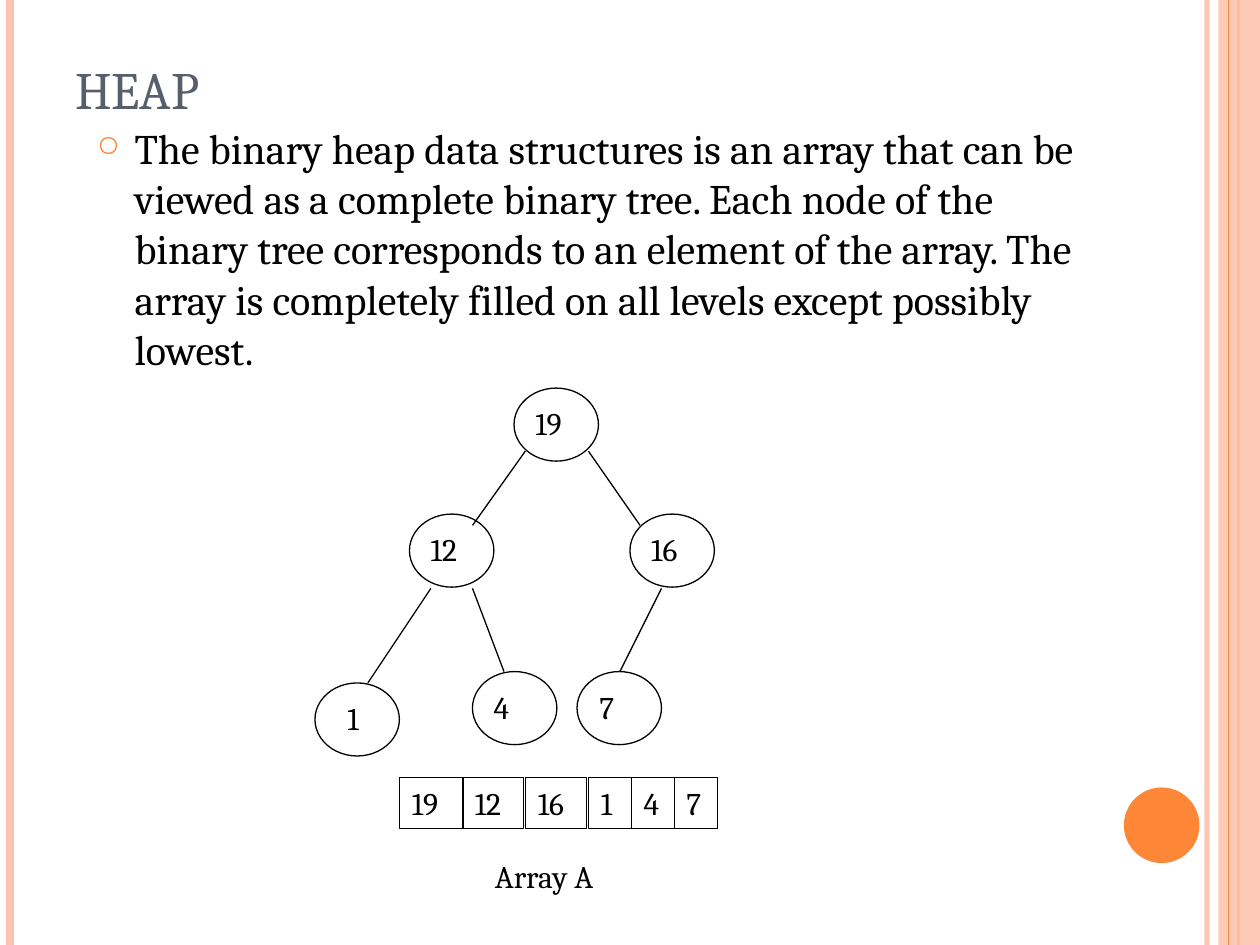
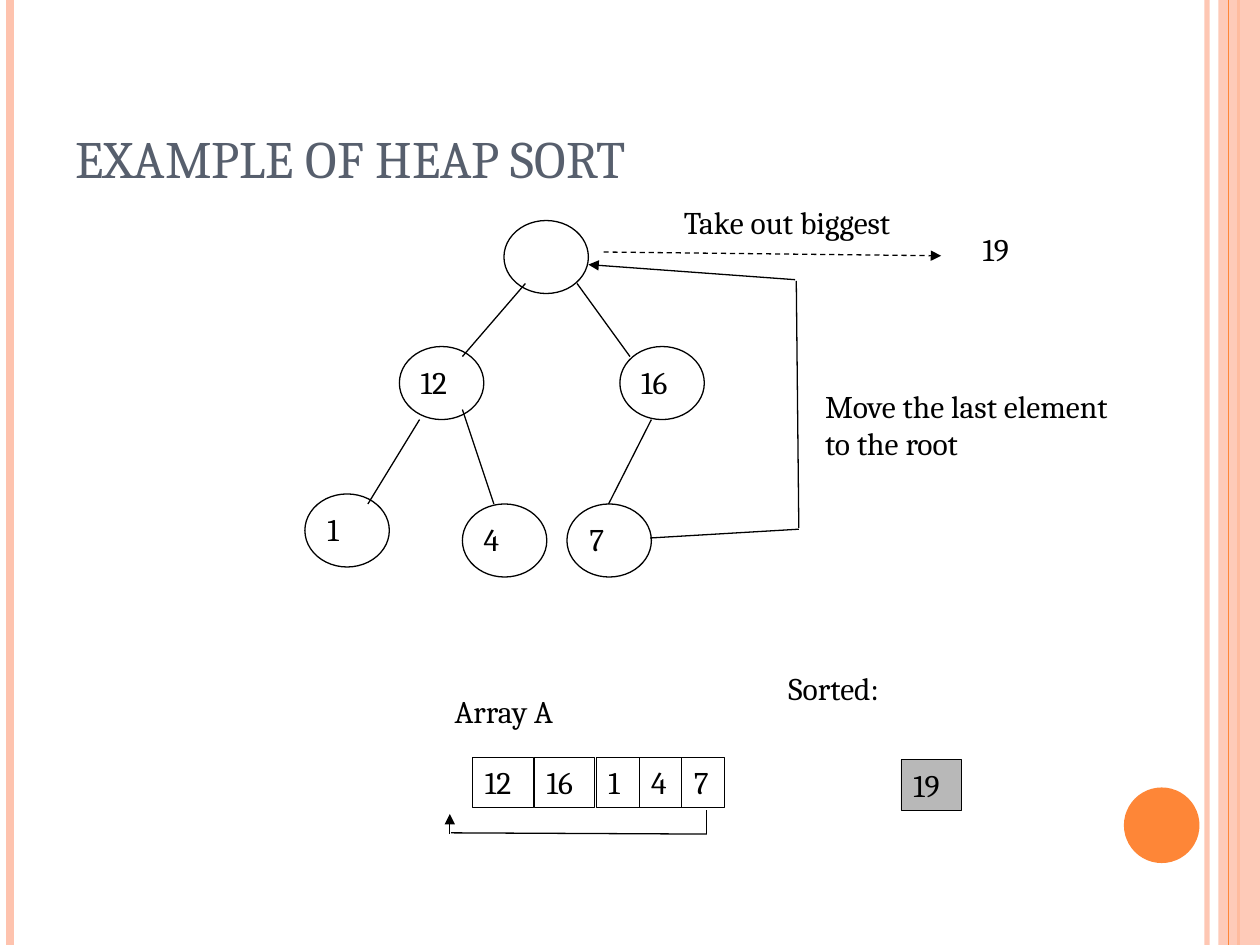
import pptx
import pptx.dml.color
import pptx.enum.dml
import pptx.enum.shapes
import pptx.enum.text
import pptx.oxml
import pptx.oxml.ns
import pptx.util

Inches = pptx.util.Inches
Pt = pptx.util.Pt
RGB = pptx.dml.color.RGBColor
Kind = pptx.enum.shapes.MSO_SHAPE
Anchor = pptx.enum.text.MSO_ANCHOR

BLACK = RGB(0, 0, 0)
SLATE = RGB(0x57, 0x5F, 0x6D)
ORANGE = RGB(0xFE, 0x86, 0x37)
PEACH = RGB(0xFE, 0xC3, 0xAE)
GRAY = RGB(0xB8, 0xB8, 0xB8)
FONT = "Cambria"


def add_node(parent, tag, **attrs):
    node = pptx.oxml.ns.qn(tag)
    child = parent.makeelement(node, attrs)
    parent.append(child)
    return child


def fade(fill, share):
    color = fill._xPr.find(".//" + pptx.oxml.ns.qn("a:srgbClr"))
    add_node(color, "a:alpha", val=str(share * 1000))


def write(shape, text, size=18, color=BLACK, anchor=Anchor.TOP, before=0, bullet=None):
    frame = shape.text_frame
    frame.word_wrap = True
    frame.vertical_anchor = anchor
    frame.text = text
    for para in frame.paragraphs:
        para.alignment = pptx.enum.text.PP_ALIGN.LEFT
        para.space_before = Pt(before)
        para.font.size = Pt(size)
        para.font.name = FONT
        para.font.color.rgb = color
        for run in para.runs:
            run.font.size = Pt(size)
            run.font.name = FONT
            run.font.color.rgb = color
        if bullet:
            props = para._p.get_or_add_pPr()
            props.set("marL", str(Inches(0.3)))
            props.set("indent", str(-Inches(0.3)))
            marks = [
                pptx.oxml.parse_xml(f'<a:{tag} {pptx.oxml.ns.nsdecls("a")}>{body}</a:{tag}>')
                for tag, body in [("buClr", f'<a:srgbClr val="{ORANGE}"/>')]
            ]
            marks[0].tail = None
            spot = props.find(pptx.oxml.ns.qn("a:defRPr"))
            if spot is not None:
                props.remove(spot)
            props.append(marks[0])
            add_node(props, "a:buSzPct", val="70000")
            add_node(props, "a:buChar", char=bullet)


class Deck:
    """Hold the shared style and the current slide."""

    def __init__(self):
        self.show = pptx.Presentation()
        self.show.slide_width = Inches(10)
        self.show.slide_height = Inches(7.5)
        self.slide = None

    def start(self, title, height):
        self.slide = self.show.slides.add_slide(self.show.slide_layouts[6])
        edge = self.line((9.58, 0), (9.58, 7.5), PEACH, 3)
        fade(edge.line.fill, 93)
        self.line((0.08, 0), (0.08, 7.5), PEACH, 4.5)
        self.line((9.83, 0), (9.83, 7.5), ORANGE, 1.5)
        band = self.shape(Kind.RECTANGLE, 9.67, 0, 0.33, 7.5, PEACH, 0)
        fade(band.fill, 87)
        self.line((9.75, 0), (9.75, 7.5), ORANGE)
        self.shape(Kind.OVAL, 8.92, 6.25, 0.6, 0.6, ORANGE, 0)
        self.text(title, 0.5, 0.3, 8.17, height, size=30, color=SLATE, anchor=Anchor.BOTTOM)

    def shape(self, kind, x, y, wide, high, fill=None, weight=0.75):
        item = self.slide.shapes.add_shape(
            kind, Inches(x), Inches(y), Inches(wide), Inches(high))
        item.shadow.inherit = False
        if fill is None:
            item.fill.background()
        else:
            item.fill.solid()
            item.fill.fore_color.rgb = fill
        if weight:
            item.line.color.rgb = BLACK
            item.line.width = Pt(weight)
        else:
            item.line.fill.background()
        return item

    def text(self, text, x, y, wide, high=0.4, **style):
        box = self.slide.shapes.add_textbox(
            Inches(x), Inches(y), Inches(wide), Inches(high))
        write(box, text, **style)

    def line(self, start, end, color=BLACK, weight=0.75, dash=False, arrow=False):
        item = self.slide.shapes.add_connector(
            pptx.enum.shapes.MSO_CONNECTOR.STRAIGHT,
            *(Inches(place) for place in (*start, *end)))
        item.line.color.rgb = color
        item.line.width = Pt(weight)
        if dash:
            item.line.dash_style = pptx.enum.dml.MSO_LINE.DASH
        if arrow:
            add_node(item.line._get_or_add_ln(), "a:tailEnd", type="triangle")
        add_node(item._element.spPr, "a:effectLst")
        return item

    def cell(self, value, x, y, wide=None, fill=None):
        wide = wide or (0.48 if len(value) > 1 else 0.34)
        box = self.shape(Kind.RECTANGLE, x, y, wide, 0.4, fill, 0.25)
        write(box, value)

    def row(self, values, x, y, step, first=0.48):
        for index, value in enumerate(values):
            self.cell(value, x, y, None if index else first)
            x += step if len(value) > 1 else 0.34

    def tree(self, x, y, root, leaf, shift, links):
        nodes = [(root, 0, 0, 0.07), ("12", -0.83, 1, 0.07), ("16", 0.92, 1, 0.07),
                 ("1", -1.58, leaf, shift), ("4", -0.33, 2.25, 0.07), ("7", 0.5, 2.25, 0.08)]
        for value, right, down, pad in nodes:
            self.shape(Kind.OVAL, x + right, y + down, 0.67, 0.58)
            if value:
                wide = 0.48 if len(value) > 1 else 0.34
                self.text(value, x + right + pad, y + down + 0.08, wide)
        for start, end in links:
            self.line(start, end)


def draw_heap(deck):
    deck.start("HEAP", 0.7)
    deck.text(
        "The binary heap data structures is an array that can be viewed as a complete "
        "binary tree. Each node of the binary tree corresponds to an element of the array. "
        "The array is completely filled on all levels except possibly lowest.",
        0.67, 0.92, 8.17, 5.91, size=24, before=6, bullet="○")
    deck.tree(4.08, 3.08, "19", 2.34, 0.16, [
        ((4.17, 3.58), (3.75, 4.17)),
        ((3.42, 4.67), (2.92, 5.42)),
        ((3.75, 4.67), (4, 5.33)),
        ((4.67, 3.58), (5.08, 4.17)),
        ((5.25, 4.67), (4.92, 5.33)),
    ])
    deck.row(["19", "12", "16", "1", "4", "7"], 3.17, 6.17, 0.5, first=0.51)
    deck.text("Array A", 3.83, 6.75, 1.5)


def draw_sort(deck):
    deck.start("EXAMPLE OF HEAP SORT", 1.25)
    deck.tree(4, 1.75, "", 2.17, 0.08, [
        ((4.17, 2.25), (3.67, 2.83)),
        ((3.33, 3.33), (2.92, 4)),
        ((3.67, 3.25), (3.92, 4)),
        ((4.58, 2.25), (5, 2.83)),
        ((5.17, 3.33), (4.83, 4)),
    ])
    deck.text("19", 7.7, 1.78, 0.48)
    deck.cell("19", 7.15, 6.03, fill=GRAY)
    deck.row(["12", "16", "1", "4", "7"], 3.75, 6.01, 0.49)
    deck.text("Array A", 3.51, 5.44, 1.12)
    deck.text("Sorted:", 6.16, 5.26, 1.03)
    deck.line((4.79, 2), (7.47, 2.03), dash=True, arrow=True)
    deck.text("Take out biggest", 5.33, 1.56, 2.11)
    deck.line((5.16, 4.27), (6.34, 4.2))
    deck.line((6.32, 2.23), (6.34, 4.19))
    deck.line((6.31, 2.22), (4.67, 2.1), arrow=True)
    deck.text("Move the last element\nto the root", 6.45, 3.02, 2.76, 0.7)
    deck.line((5.61, 6.43), (5.61, 6.62))
    deck.line((5.61, 6.62), (3.58, 6.61))
    deck.line((3.57, 6.62), (3.57, 6.46), arrow=True)


def main():
    deck = Deck()
    draw_heap(deck)
    draw_sort(deck)
    deck.show.save("out.pptx")


if __name__ == "__main__":
    main()
